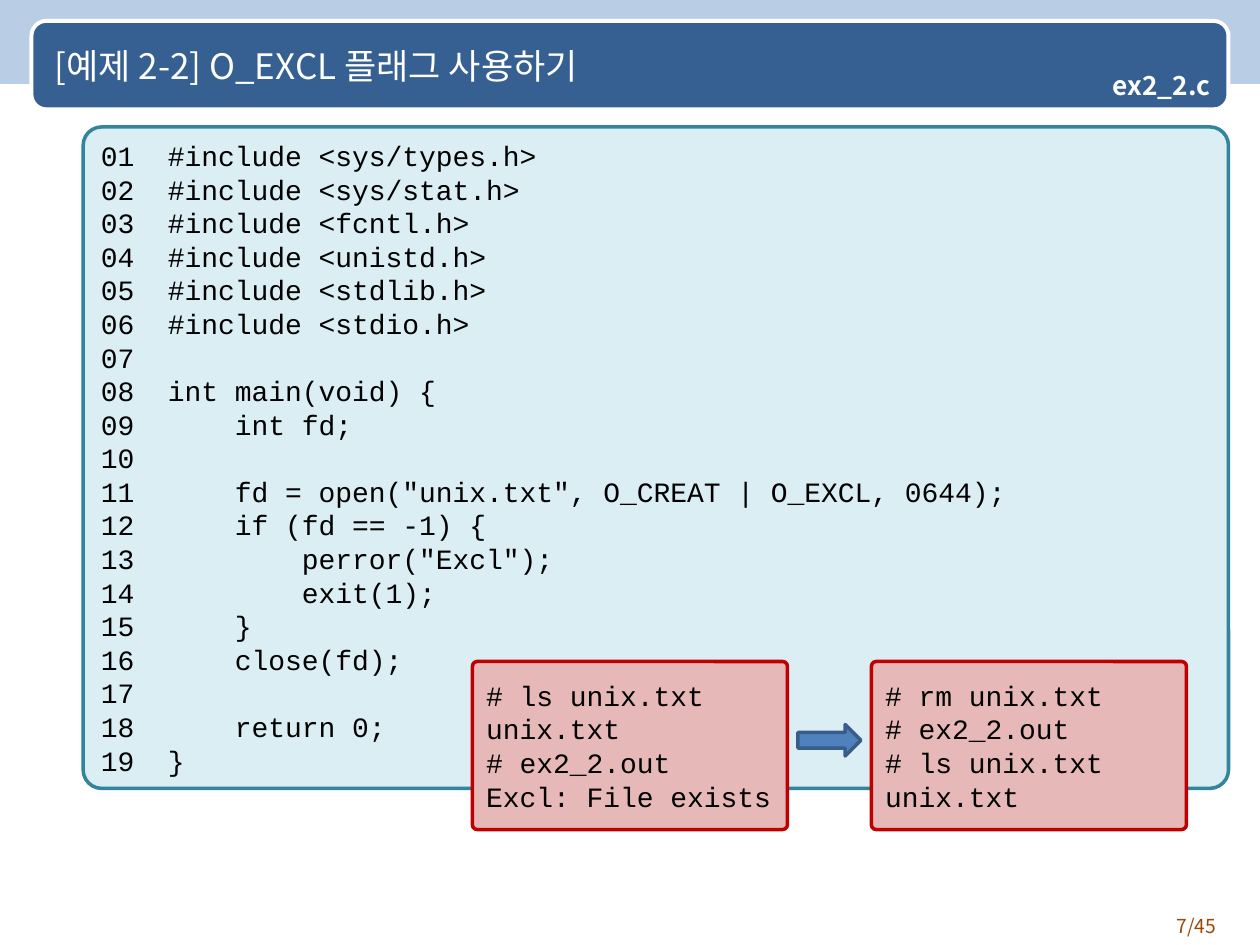
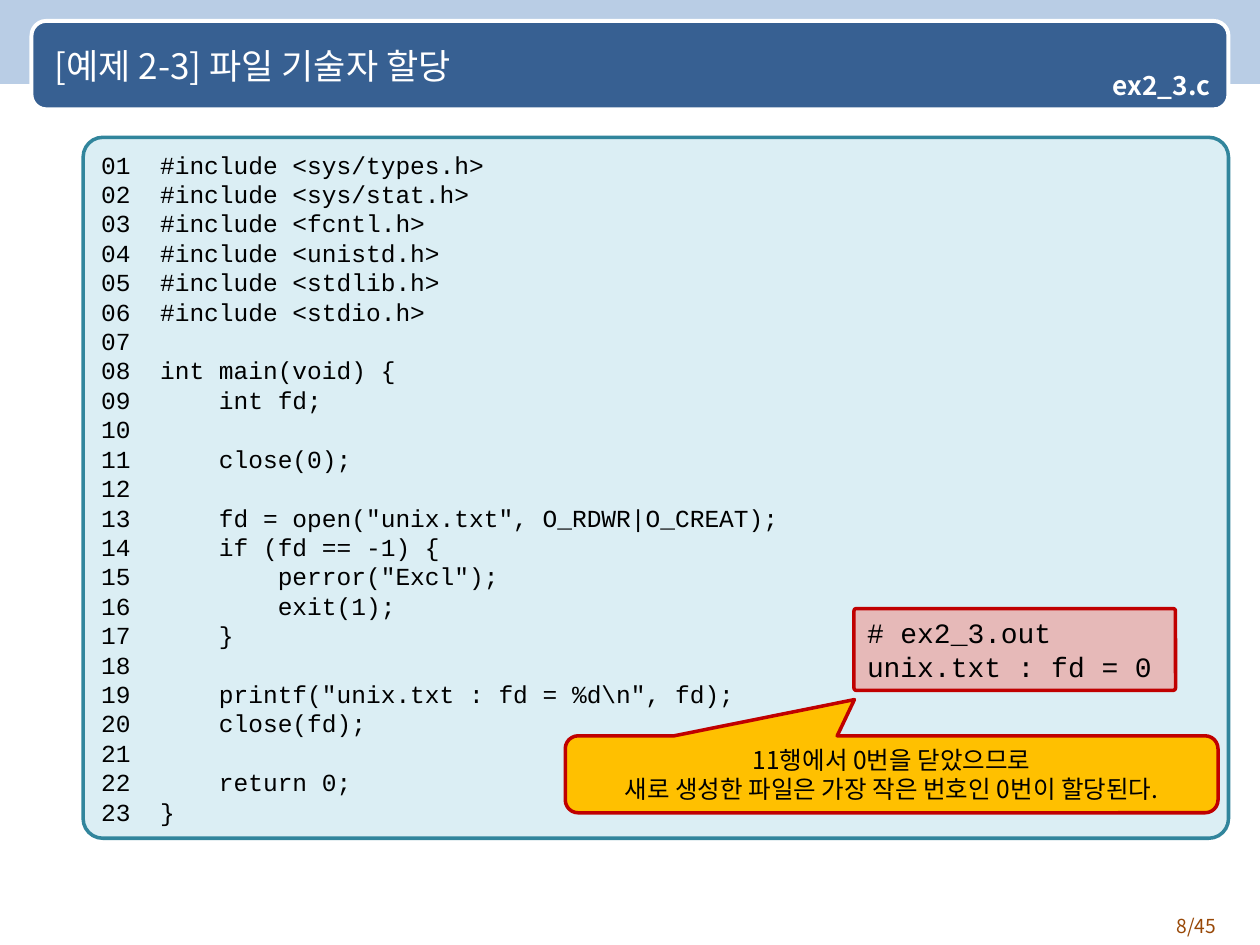
from lxml.etree import SubElement
from pptx import Presentation
from pptx.dml.color import RGBColor
from pptx.enum.shapes import MSO_SHAPE as Shape
from pptx.enum.text import MSO_ANCHOR as Anchor, PP_ALIGN as Align
from pptx.oxml.ns import qn
from pptx.util import Pt

INCLUDES = [f"#include <{header}>" for header in (
    "sys/types.h", "sys/stat.h", "fcntl.h", "unistd.h", "stdlib.h", "stdio.h")]
MAIN_START = ["", "int main(void) {", "    int fd;", ""]
OPEN_CHECK = [
    "    if (fd == -1) {",
    '        perror("Excl");',
    "        exit(1);",
    "    }",
]
MAIN_END = ["    close(fd);", "", "    return 0;", "}"]

EXAMPLES = [
    {
        "title": "[예제 2-2] O_EXCL 플래그 사용하기",
        "file": "ex2_2.c",
        "page": "7/45",
        "code": INCLUDES + MAIN_START
        + ['    fd = open("unix.txt", O_CREAT | O_EXCL, 0644);']
        + OPEN_CHECK + MAIN_END,
        "code_top": 72.5,
        "code_height": 378,
        "code_size": 16,
        "consoles": [
            ((270, 378, 180, 96),
             ["# ls unix.txt", "unix.txt", "# ex2_2.out", "Excl: File exists"]),
            ((498, 378, 180, 96),
             ["# rm unix.txt", "# ex2_2.out", "# ls unix.txt", "unix.txt"]),
        ],
        "arrow": (456, 414, 36, 18),
    },
    {
        "title": "[예제 2-3] 파일 기술자 할당",
        "file": "ex2_3.c",
        "page": "8/45",
        "code": INCLUDES + MAIN_START
        + ["    close(0);", "", '    fd = open("unix.txt", O_RDWR|O_CREAT);']
        + OPEN_CHECK
        + ["", r'    printf("unix.txt : fd = %d\n", fd);'] + MAIN_END,
        "code_top": 78.5,
        "code_height": 400.5,
        "code_size": 14,
        "consoles": [
            ((488, 347.75, 183.75, 46.75), ["# ex2_3.out", "unix.txt : fd = 0"]),
        ],
        "callout": (
            (323, 420.5, 373, 44),
            ["11행에서 0번을 닫았으므로",
             "새로 생성한 파일은 가장 작은 번호인 0번이 할당된다."]),
    },
]

SANS, MONO = "Noto Sans CJK KR", "Courier New"
WHITE = RGBColor(0xFF, 0xFF, 0xFF)
BLACK = RGBColor(0x00, 0x00, 0x00)
SKY = RGBColor(0xB9, 0xCD, 0xE5)
NAVY = RGBColor(0x37, 0x60, 0x92)
BROWN = RGBColor(0x98, 0x48, 0x07)
PALE_TEAL = RGBColor(0xDB, 0xEE, 0xF4)
TEAL = RGBColor(0x31, 0x85, 0x9C)
PINK = RGBColor(0xE6, 0xB9, 0xB8)
RED = RGBColor(0xC0, 0x00, 0x00)
AMBER = RGBColor(0xFF, 0xC0, 0x00)
BLUE = RGBColor(0x4F, 0x81, 0xBD)
DARK_BLUE = RGBColor(0x38, 0x5D, 0x8A)

CORNER = 0.028
MONO_LEADING = 1.2


def add_panel(slide, kind, box, fill, line=None, width=2, adjust=()):
    panel = slide.shapes.add_shape(kind, *map(Pt, box))
    panel.shadow.inherit = False
    panel.fill.solid()
    panel.fill.fore_color.rgb = fill
    if line is None:
        panel.line.fill.background()
    else:
        panel.line.color.rgb = line
        panel.line.width = Pt(width)
    for index, value in enumerate(adjust):
        panel.adjustments[index] = value
    return panel


def write(shape, lines, size, color, font=SANS, align=Align.LEFT,
          anchor=Anchor.MIDDLE, bold=False, inset=(7.2, 3.6)):
    frame = shape.text_frame
    frame.word_wrap = True
    frame.vertical_anchor = anchor
    frame.margin_left = frame.margin_right = Pt(inset[0])
    frame.margin_top = frame.margin_bottom = Pt(inset[1])
    frame.text = "\n".join(lines)
    for paragraph in frame.paragraphs:
        paragraph.alignment = align
        if font == MONO:
            paragraph.line_spacing = Pt(size * MONO_LEADING)
        paragraph.font.size = Pt(size)
        paragraph.font.bold = bold
        paragraph.font.color.rgb = color
        paragraph.font.name = font
        properties = paragraph.font._element if hasattr(
            paragraph.font, "_element") else paragraph._p.pPr.find(qn("a:defRPr"))
        SubElement(properties, qn("a:ea"), typeface=font)


def add_label(slide, box, text, size, color, **style):
    write(slide.shapes.add_textbox(*map(Pt, box)), [text], size, color, **style)


def add_frame(slide, example):
    add_panel(slide, Shape.RECTANGLE, (-0.5, 0, 721, 48), SKY)
    add_panel(slide, Shape.ROUNDED_RECTANGLE, (18, 12, 684, 50.5), NAVY,
              WHITE, 2.25, (0.167,))
    add_label(slide, (642, 519, 60, 21), example["page"], 11, BROWN,
              align=Align.RIGHT, anchor=Anchor.TOP)
    add_label(slide, (24, 13.5, 666, 48), example["title"], 20, WHITE)
    file_tag = add_panel(slide, Shape.RECTANGLE, (600, 36, 96, 25), NAVY)
    write(file_tag, [example["file"]], 15, WHITE, align=Align.RIGHT,
          bold=True, inset=(4.5, 4.5))


def add_listing(slide, box, lines, size, fill, line):
    listing = add_panel(slide, Shape.ROUNDED_RECTANGLE, box, fill, line,
                        adjust=(CORNER,))
    write(listing, lines, size, BLACK, MONO)


def add_example(deck, example):
    slide = deck.slides.add_slide(deck.slide_layouts[6])
    add_frame(slide, example)
    numbered = [f"{number:02}  {code}".rstrip()
                for number, code in enumerate(example["code"], 1)]
    add_listing(slide, (47.5, example["code_top"], 654.5, example["code_height"]),
                numbered, example["code_size"], PALE_TEAL, TEAL)
    for box, session in example["consoles"]:
        add_listing(slide, box, session, 16, PINK, RED)
    if "arrow" in example:
        add_panel(slide, Shape.RIGHT_ARROW, example["arrow"], BLUE, DARK_BLUE,
                  adjust=(0.5, 0.5))
    if "callout" in example:
        box, remark = example["callout"]
        callout = add_panel(slide, Shape.ROUNDED_RECTANGULAR_CALLOUT, box,
                            AMBER, RED, adjust=(-0.057, -0.971, 0.167))
        write(callout, remark, 14, BLACK, align=Align.CENTER)


def main():
    deck = Presentation()
    deck.slide_width, deck.slide_height = Pt(720), Pt(540)
    for example in EXAMPLES:
        add_example(deck, example)
    deck.save("out.pptx")


if __name__ == "__main__":
    main()
